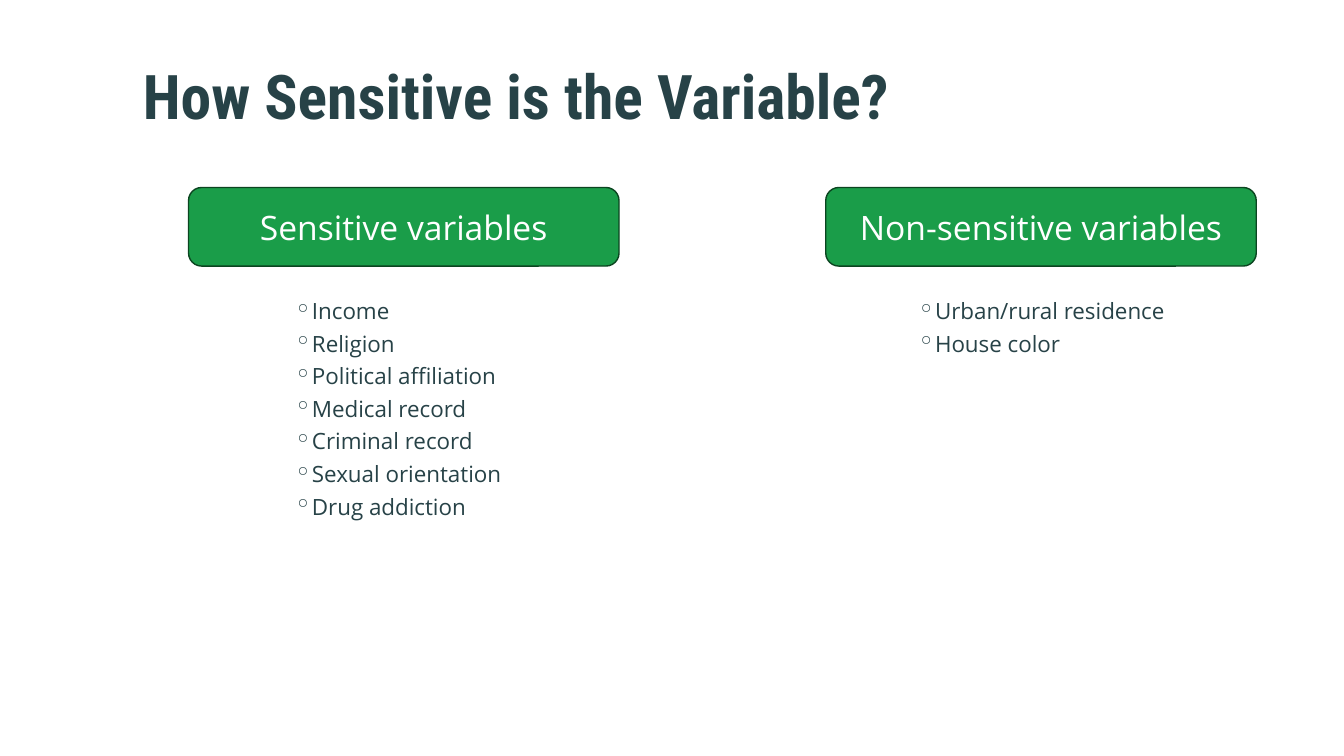
from lxml import etree
from pptx import Presentation
from pptx.dml.color import RGBColor
from pptx.enum.shapes import MSO_SHAPE
from pptx.enum.text import MSO_ANCHOR, PP_ALIGN
from pptx.oxml.ns import qn
from pptx.util import Inches, Pt

SLATE = RGBColor(0x27, 0x42, 0x47)
GREEN = RGBColor(0x1A, 0x9D, 0x49)
DARK_GREEN = RGBColor(0x0B, 0x45, 0x20)
WHITE = RGBColor(0xFF, 0xFF, 0xFF)
ROUNDED = MSO_SHAPE.ROUNDED_RECTANGLE
MIDDLE = MSO_ANCHOR.MIDDLE
CENTER = PP_ALIGN.CENTER

# header left, header text, list left, list width, list height, items
COLUMNS = [
    (1.87, "Sensitive variables", 2.55, 2.93, 2.8,
     ["Income", "Religion", "Political affiliation", "Medical record",
      "Criminal record", "Sexual orientation", "Drug addiction"]),
    (8.19, "Non-sensitive variables", 8.73, 3.2, 0.95,
     ["Urban/rural residence", "House color"]),
]


class SlideBuilder:
    heading_font = "Roboto Condensed"
    body_font = "Open Sans"

    def __init__(self, slide):
        self.slide = slide

    def add_run(self, paragraph, text, size, color, font, bold=False):
        run = paragraph.add_run()
        run.text = text
        run.font.size = Pt(size)
        run.font.name = font
        run.font.bold = bold
        run.font.color.rgb = color

    def add_frame(self, left, top, width, height):
        box = self.slide.shapes.add_textbox(
            Inches(left), Inches(top), Inches(width), Inches(height))
        box.text_frame.word_wrap = True
        return box.text_frame

    def add_title(self, text):
        frame = self.add_frame(1.32, 0.3, 10.56, 1.43)
        frame.vertical_anchor = MIDDLE
        frame.margin_top = 0
        paragraph = frame.paragraphs[0]
        paragraph.line_spacing = 0.9
        self.add_run(paragraph, text, 44, SLATE, self.heading_font, bold=True)

    def add_header(self, left, text):
        header = self.slide.shapes.add_shape(
            ROUNDED, Inches(left), Inches(1.86), Inches(4.27), Inches(0.78))
        header.shadow.inherit = False
        header.fill.solid()
        header.fill.fore_color.rgb = GREEN
        header.line.color.rgb = DARK_GREEN
        header.line.width = Pt(1)
        header.text_frame.vertical_anchor = MIDDLE
        paragraph = header.text_frame.paragraphs[0]
        paragraph.alignment = CENTER
        self.add_run(paragraph, text, 24, WHITE, self.body_font)

    def add_list(self, left, width, height, items):
        frame = self.add_frame(left, 2.93, width, height)
        for index, item in enumerate(items):
            paragraph = frame.add_paragraph() if index else frame.paragraphs[0]
            self.add_bullet(paragraph)
            paragraph.level = 1
            paragraph.line_spacing = 0.9
            paragraph.space_after = Pt(6)
            self.add_run(paragraph, item, 16, SLATE, self.body_font)

    def add_bullet(self, paragraph):
        properties = paragraph._p.get_or_add_pPr()
        properties.set("marL", str(Inches(0.43)))
        properties.set("indent", str(Inches(-0.16)))
        etree.SubElement(properties, qn("a:buChar"), char="◦")


def main():
    presentation = Presentation()
    presentation.slide_width = Inches(13.33)
    presentation.slide_height = Inches(7.5)
    blank = presentation.slide_layouts[6]
    builder = SlideBuilder(presentation.slides.add_slide(blank))
    builder.add_title("How Sensitive is the Variable?")
    for header_left, header, list_left, width, height, items in COLUMNS:
        builder.add_list(list_left, width, height, items)
        builder.add_header(header_left, header)
    presentation.save("out.pptx")


if __name__ == "__main__":
    main()
